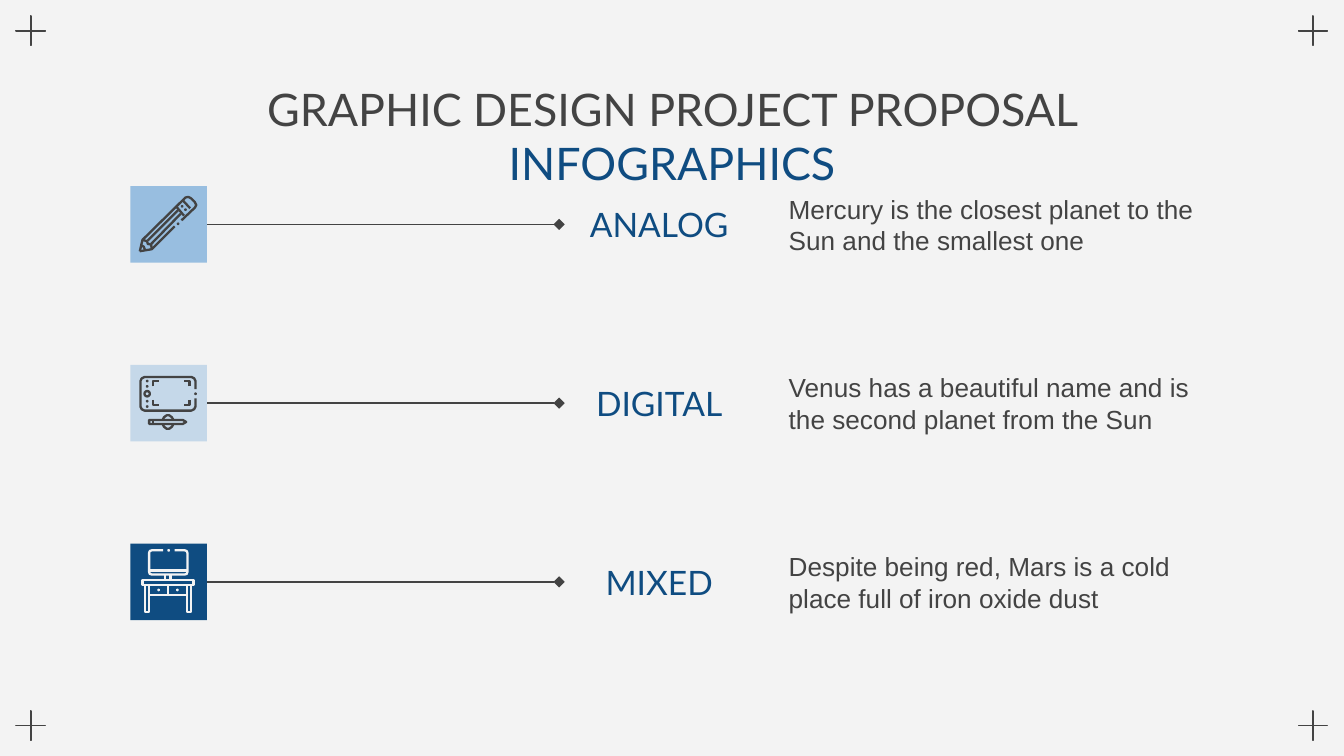
from dataclasses import dataclass

from lxml import etree
from pptx import Presentation
from pptx.dml.color import RGBColor
from pptx.enum.shapes import MSO_CONNECTOR, MSO_SHAPE
from pptx.enum.text import MSO_ANCHOR, MSO_AUTO_SIZE, PP_ALIGN
from pptx.oxml.ns import qn
from pptx.util import Inches, Pt

RECT, OVAL, PLUS = MSO_SHAPE.RECTANGLE, MSO_SHAPE.OVAL, MSO_SHAPE.MATH_PLUS
ELBOW = MSO_CONNECTOR.ELBOW
TOP, MIDDLE = MSO_ANCHOR.TOP, MSO_ANCHOR.MIDDLE
LEFT, CENTER = PP_ALIGN.LEFT, PP_ALIGN.CENTER
NO_FIT = MSO_AUTO_SIZE.NONE


@dataclass(frozen=True)
class Theme:
    """Colours, fonts, type sizes and line widths."""
    paper: str = "F3F3F3"
    ink: str = "434343"
    navy: str = "0F4C81"
    sky: str = "98BEE0"
    pale: str = "C5D8E9"
    display: str = "Lato"
    body: str = "Arial"
    title_size: int = 24
    label_size: int = 18
    body_size: int = 14
    rule: float = 0.75
    stroke: float = 1.25


THEME = Theme()
TILE = 0.57

PENCIL = {
    "strokes": [
        [(7, 48.5), (9, 40), (41, 8.5), (43, 8), (45, 9), (48, 12), (49, 14), (48, 16), (38, 25.5)],
        [(33, 30), (16, 47), (7, 48.5)],
        [(9, 40), (12.5, 41), (13, 43), (15.5, 43.5), (16, 47)],
        [(39, 10.5), (44.5, 16.5)],
        [(34, 15), (40, 22)],
        [(35.5, 18), (13, 40.5)],
        [(37.5, 20.5), (15.5, 43)],
        [(8, 44), (10, 45), (11, 47.5)],
    ],
    "dots": [(41, 17.5), (38.5, 15), (35.5, 28)],
    "rings": [],
}
TABLET = {
    "strokes": [
        [(48.5, 18), (48.5, 12), (47.5, 10), (45.5, 9), (10.5, 9), (8.5, 10), (7.5, 12),
         (7.5, 31), (8.5, 33), (10.5, 34), (45.5, 34), (47.5, 33), (48.5, 31), (48.5, 25)],
        *[[(x, y + 4 * dy), (x, y), (x + 4 * dx, y)]
          for x, dx in ((17, 1), (44, -1)) for y, dy in ((12, 1), (30, -1))],
        [(14, 41), (39, 41), (41.5, 42.5), (39, 44), (14, 44), (14, 41)],
        [(17, 41), (17, 44)],
        *[[(24, 42.5 + 1.5 * s), (25, 42.5 + 3.5 * s), (27, 42.5 + 5 * s),
           (29, 42.5 + 5 * s), (31, 42.5 + 3.5 * s), (32, 42.5 + 1.5 * s)] for s in (-1, 1)],
    ],
    "dots": [(12.5, 12), (12.5, 16), (12.5, 27), (12.5, 31), (48.5, 21.5)],
    "rings": [(12.5, 21.5)],
}
DESK = {
    "strokes": [
        [(24.5, 5), (16, 5), (14.5, 5.5), (14, 7), (14, 21), (14.5, 22.5), (16, 23), (40.5, 23),
         (42, 22.5), (42.5, 21), (42.5, 7), (42, 5.5), (40.5, 5), (33, 5)],
        [(14, 20), (42.5, 20)],
        [(26, 23), (26, 27)],
        [(30, 23), (30, 27)],
        *[[(x, y), (x + w, y), (x + w, y + h), (x, y + h), (x, y)]
          for x, y, w, h in ((9, 27, 38, 4), (11, 31, 3, 20), (42, 31, 3, 20), (14, 31, 28, 7))],
        [(28, 31), (28, 38)],
    ],
    "dots": [(28.5, 5), (21, 34.5), (35, 34.5)],
    "rings": [],
}

ROWS = [
    ("ANALOG", "Mercury is the closest planet to the Sun and the smallest one",
     PENCIL, THEME.sky, THEME.ink),
    ("DIGITAL", "Venus has a beautiful name and is the second planet from the Sun",
     TABLET, THEME.pale, THEME.ink),
    ("MIXED", "Despite being red, Mars is a cold place full of iron oxide dust",
     DESK, THEME.navy, THEME.paper),
]


def rgb(color):
    """Turn a hex string into a colour."""
    return RGBColor.from_string(color)


def paint(sp, fill=None, line=None, width=THEME.rule):
    """Set fill and line, and drop the shadow."""
    sp.shadow.inherit = False
    if fill:
        sp.fill.solid()
        sp.fill.fore_color.rgb = rgb(fill)
    else:
        sp.fill.background()
    if line:
        sp.line.color.rgb = rgb(line)
        sp.line.width = Pt(width)
    else:
        sp.line.fill.background()


def style_run(r, font, size, color):
    """Format one run."""
    r.font.name, r.font.size, r.font.color.rgb = font, Pt(size), rgb(color)


def set_frame(tf, anchor):
    """Give a text frame even insets, wrapping and an anchor."""
    tf.word_wrap, tf.auto_size, tf.vertical_anchor = True, NO_FIT, anchor
    tf.margin_left = tf.margin_right = tf.margin_top = tf.margin_bottom = Inches(0.1)


def add_text(shapes, text, x, y, w, h, align, font, size, color):
    """Add a one-paragraph text box."""
    tf = shapes.add_textbox(Inches(x), Inches(y), Inches(w), Inches(h)).text_frame
    set_frame(tf, MIDDLE)
    tf.text = text
    p = tf.paragraphs[0]
    p.alignment = align
    style_run(p.runs[0], font, size, color)


def add_title(slide, x, y, w, h):
    """Fill the title placeholder in two colours."""
    sp = slide.shapes.title
    sp.left, sp.top, sp.width, sp.height = Inches(x), Inches(y), Inches(w), Inches(h)
    set_frame(sp.text_frame, TOP)
    p = sp.text_frame.paragraphs[0]
    p.alignment = CENTER
    for text, color in (("GRAPHIC DESIGN PROJECT PROPOSAL ", THEME.ink),
                        ("INFOGRAPHICS", THEME.navy)):
        r = p.add_run()
        r.text = text
        style_run(r, THEME.display, THEME.title_size, color)


def add_corners(slide, x, y, w, h, size=0.3):
    """Put a thin cross in each corner of the box."""
    for top in (y, y + h - size):
        for left in (x, x + w - size):
            sp = slide.shapes.add_shape(PLUS, Inches(left), Inches(top), Inches(size), Inches(size))
            sp.adjustments[0] = 0.007
            paint(sp, line=THEME.ink)


def add_icon(slide, icon, x, y, fill, color):
    """Draw a tile and its line icon, given in hundredths of an inch."""
    shapes = slide.shapes.add_group_shape().shapes
    tile = shapes.add_shape(RECT, Inches(x), Inches(y), Inches(TILE), Inches(TILE))
    paint(tile, fill)
    for stroke in icon["strokes"]:
        pts = [(Inches(px / 100), Inches(py / 100)) for px, py in stroke]
        closed = pts[0] == pts[-1]
        fb = shapes.build_freeform(*pts[0])
        fb.add_line_segments(pts[1:-1] if closed else pts[1:], close=closed)
        paint(fb.convert_to_shape(Inches(x), Inches(y)), line=color, width=THEME.stroke)
    for kind, d in (("dots", 0.02), ("rings", 0.04)):
        for cx, cy in icon[kind]:
            sp = shapes.add_shape(OVAL, Inches(x + cx / 100 - d / 2), Inches(y + cy / 100 - d / 2),
                                  Inches(d), Inches(d))
            if kind == "dots":
                paint(sp, color)
            else:
                paint(sp, line=color, width=THEME.stroke)


def add_pointer(slide, x1, x2, y):
    """Add a level connector that ends in a diamond."""
    cxn = slide.shapes.add_connector(ELBOW, Inches(x1), Inches(y), Inches(x2), Inches(y))
    cxn.line.color.rgb = rgb(THEME.ink)
    cxn.line.width = Pt(THEME.rule)
    ln = cxn._element.spPr.find(qn("a:ln"))
    etree.SubElement(ln, qn("a:tailEnd"), type="diamond")
    etree.SubElement(cxn._element.spPr, qn("a:effectLst"))


def add_row(slide, row, x, y, h):
    """Place icon, pointer, label and description in one row."""
    label, text, icon, fill, color = row
    add_text(slide.shapes, label, x + 3.19, y, 1.49, h, CENTER,
             THEME.display, THEME.label_size, THEME.navy)
    add_text(slide.shapes, text, x + 4.8, y, 3.44, h, LEFT,
             THEME.body, THEME.body_size, THEME.ink)
    add_pointer(slide, x + TILE, x + 3.19, y + h / 2)
    add_icon(slide, icon, x, y + (h - TILE) / 2, fill, color)


def main():
    """Build and save the slide."""
    prs = Presentation()
    prs.slide_width = Inches(10)
    prs.slide_height = prs.slide_width * 9 // 16
    slide = prs.slides.add_slide(prs.slide_layouts[5])
    slide.background.fill.solid()
    slide.background.fill.fore_color.rgb = rgb(THEME.paper)
    add_corners(slide, 0.08, 0.08, 9.84, 5.47)
    add_title(slide, 0.81, 0.51, 8.38, 0.62)
    for i, row in enumerate(ROWS):
        add_row(slide, row, 0.97, 1.3 + 1.33 * i, 0.74)
    prs.save("out.pptx")


if __name__ == "__main__":
    main()
